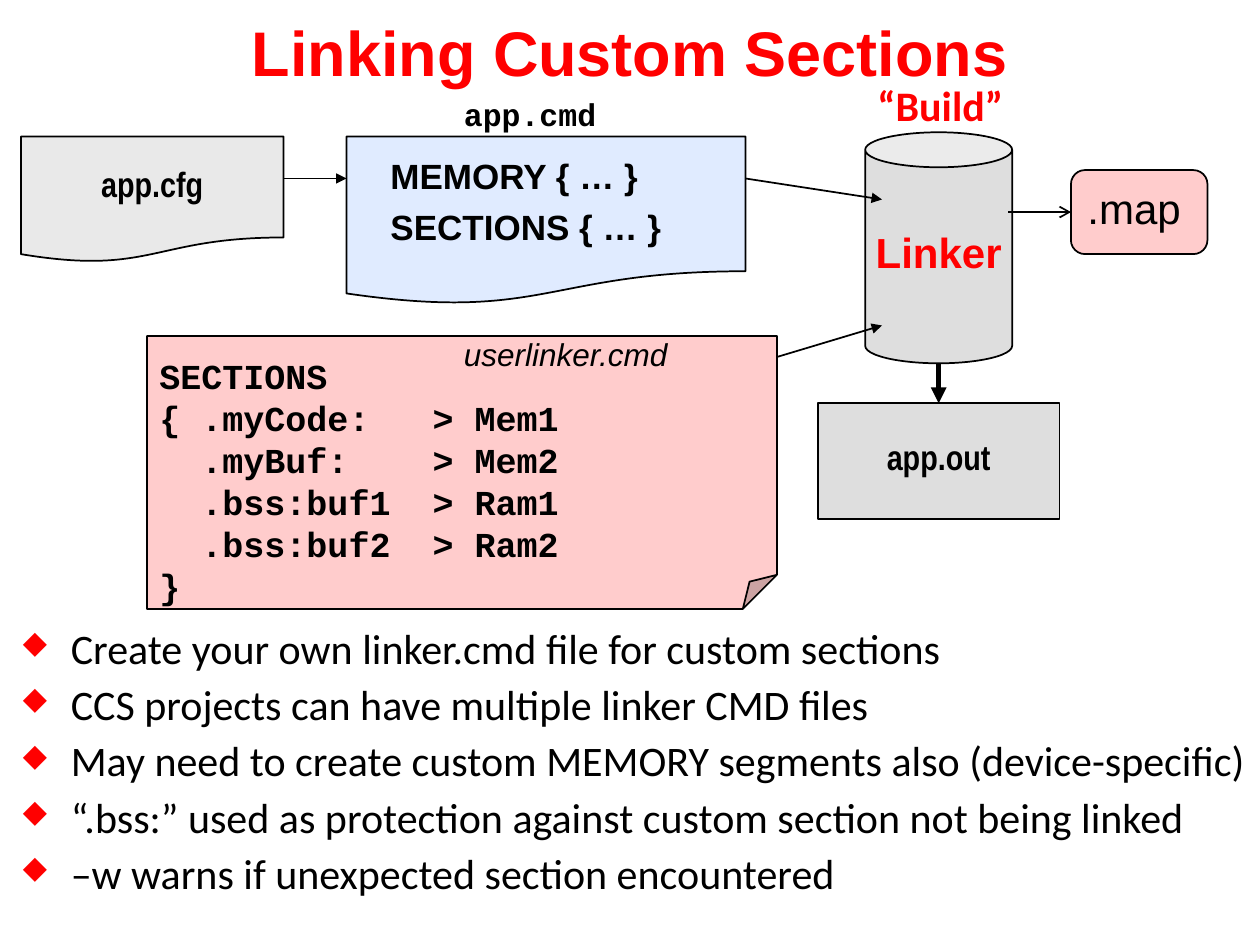
from lxml import etree
from pptx import Presentation, util as u
from pptx.dml.color import RGBColor
from pptx.enum import shapes, text
from pptx.oxml.ns import qn

THEME = dict(
    ink="000000", red="FF0000", pink="FFCCCC", blue="E0EBFF",
    pale="E9E9E9", gray="DEDEDE",
    head=36, big=24, mid=20, small=18,
    sans="Arial", slim="Arial Narrow", body="Calibri", mono="Courier New",
)
KIND = shapes.MSO_SHAPE
MID, TOP = text.MSO_ANCHOR.MIDDLE, text.MSO_ANCHOR.TOP
LEFT, CENTER = text.PP_ALIGN.LEFT, text.PP_ALIGN.CENTER

deck = Presentation()
deck.slide_width, deck.slide_height = u.Inches(10), u.Inches(7.5)
page = deck.slides.add_slide(deck.slide_layouts[6])
CELL = deck.slide_width / 120  # grid of 120 columns by 90 rows


def grid(*nums):
    return [round(n * CELL) for n in nums]


def write(box, words, size, font, color="ink", bold=True, italic=False,
          align=LEFT, anchor=TOP, wrap=False, lead=0.8, gap=0.5, bullet=None):
    frame = box.text_frame
    frame.text = words
    frame.word_wrap, frame.vertical_anchor = wrap, anchor
    for i, para in enumerate(frame.paragraphs):
        para.alignment, para.line_spacing = align, lead
        para.space_before = u.Pt(gap * THEME[size] if i else 0)
        if bullet:
            props = para._p.get_or_add_pPr()
            props.set("marL", str(u.Inches(0.38)))
            props.set("indent", str(-u.Inches(0.38)))
            tint = etree.SubElement(props, qn("a:buClr"))
            etree.SubElement(tint, qn("a:srgbClr"), val=THEME["red"])
            etree.SubElement(props, qn("a:buSzPct"), val="75000")
            etree.SubElement(props, qn("a:buChar"), char=bullet)
        for run in para.runs:
            face = run.font
            face.size, face.name = u.Pt(THEME[size]), THEME[font]
            face.bold, face.italic = bold, italic
            face.color.rgb = RGBColor.from_string(THEME[color])


# Title
title = page.shapes.add_textbox(*grid(0, 0, 120, 9.7))
write(title, "Linking Custom Sections", "head", "sans", "red",
      align=CENTER, anchor=MID, wrap=True, lead=1)

# Files and tools
parts = {}
for name, kind, spot, fill, bend in [
    ("cfg", KIND.FLOWCHART_DOCUMENT, (2, 13, 25, 12), "pale", None),
    ("linker", KIND.CAN, (82.4, 12.6, 14, 22), "gray", 0.238),
    ("cmd", KIND.FLOWCHART_DOCUMENT, (33, 13, 38, 16), "blue", None),
    ("out", KIND.FLOWCHART_PROCESS, (77.9, 38.4, 23, 11), "gray", None),
    ("user", KIND.FOLDED_CORNER, (14, 32, 60, 26), "pink", 0.125),
    ("map", KIND.ROUNDED_RECTANGLE, (102, 16.2, 13, 8), "pink", 0.167),
]:
    part = parts[name] = page.shapes.add_shape(kind, *grid(*spot))
    part.shadow.inherit = False
    part.fill.solid()
    part.fill.fore_color.rgb = RGBColor.from_string(THEME[fill])
    part.line.color.rgb = RGBColor.from_string(THEME["ink"])
    part.line.width = u.Pt(1)
    if bend:  # not every preset lists its adjustment, so set the guide itself
        guides = part._element.spPr.find(qn("a:prstGeom")).get_or_add_avLst()
        for guide in list(guides):
            guides.remove(guide)
        etree.SubElement(guides, qn("a:gd"), name="adj",
                         fmla=f"val {round(bend * 100000)}")

for name, words, size, font, color in [
    ("cfg", "app.cfg", "mid", "slim", "ink"),
    ("linker", "Linker", "big", "sans", "red"),
    ("out", "app.out", "mid", "slim", "ink"),
]:
    write(parts[name], words, size, font, color, align=CENTER, anchor=MID)
write(parts["map"], ".map", "big", "sans", bold=False, anchor=MID, wrap=True)

# User linker code
code = """SECTIONS
{ .myCode:   > Mem1
  .myBuf:    > Mem2
  .bss:buf1  > Ram1
  .bss:buf2  > Ram2
}"""
parts["user"].text_frame.margin_top = u.Inches(0.15)
write(parts["user"], code, "mid", "mono", lead=1, gap=0)

# Arrows
for start, end, width, tip, goal in [
    ((89.4, 34.6), (89.4, 38.4), 3, "triangle", ("out", 0)),
    ((27, 17), (33, 17), 1, "triangle", None),
    ((71, 17), (84, 19), 1, "triangle", None),
    ((74, 34), (84, 31), 1, "triangle", None),
    ((96, 20.2), (102, 20.2), 1, "arrow", ("map", 1)),
]:
    arrow = page.shapes.add_connector(
        shapes.MSO_CONNECTOR.STRAIGHT, *grid(*start, *end))
    if goal:
        arrow.end_connect(parts[goal[0]], goal[1])
    arrow.line.color.rgb = RGBColor.from_string(THEME["ink"])
    arrow.line.width = u.Pt(width)
    stroke = arrow._element.spPr.find(qn("a:ln"))
    etree.SubElement(stroke, qn("a:tailEnd"), type=tip)
    etree.SubElement(arrow._element.spPr, qn("a:effectLst"))

# Labels
for words, spot, style in [
    ("“Build”", (82.3, 7.9, 14.5, 5.2),
     dict(size="big", font="body", color="red", align=CENTER)),
    ("MEMORY { … }\nSECTIONS { … }", (36, 14.9, 28.2, 9.6),
     dict(size="mid", font="sans", wrap=True)),
    ("app.cmd", (43, 9.2, 15.1, 4.3), dict(size="small", font="mono")),
    ("userlinker.cmd", (43, 32, 22, 4.1),
     dict(size="small", font="sans", bold=False, italic=True)),
]:
    write(page.shapes.add_textbox(*grid(*spot)), words, **style)

# Bullet points
points = [
    "Create your own linker.cmd file for custom sections",
    "CCS projects can have multiple linker CMD files",
    "May need to create custom MEMORY segments also (device-specific)",
    "“.bss:” used as protection against custom section not being linked",
    "–w warns if unexpected section encountered",
]
facts = page.shapes.add_textbox(*grid(1, 60, 119.9, 27.8))
write(facts, "\n".join(points), "big", "body", bold=False, lead=0.7, bullet="◆")

deck.save("out.pptx")
